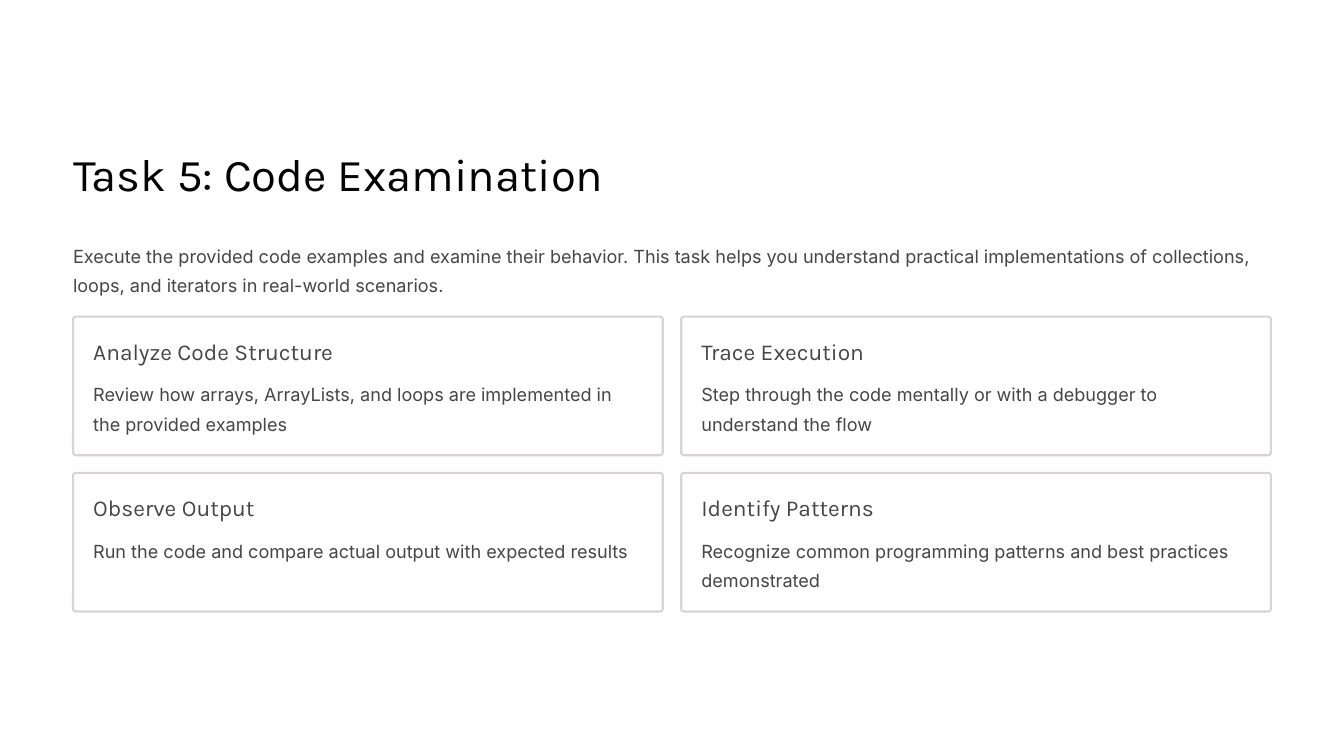
from pptx import Presentation
from pptx.dml.color import RGBColor
from pptx.enum.shapes import MSO_SHAPE
from pptx.util import Inches, Pt

ROUNDED = MSO_SHAPE.ROUNDED_RECTANGLE
WHITE = RGBColor(0xFF, 0xFF, 0xFF)
BLACK = RGBColor(0x03, 0x03, 0x03)
GREY = RGBColor(0x46, 0x46, 0x46)
BORDER = RGBColor(0xD8, 0xD4, 0xD4)

# font, size, line spacing, colour
TITLE = ("Karla", 39, 48.5, BLACK)
HEADING = ("Karla", 19.5, 24, GREY)
BODY = ("Inter", 15.5, 25, GREY)

MARGIN = 0.87
CONTENT_WIDTH = 14.26
CARDS_TOP = 3.77
CARD_WIDTH, CARD_HEIGHT = 7.02, 1.65
COLUMN_STEP = CONTENT_WIDTH - CARD_WIDTH
ROW_STEP = 1.86
PADDING = 0.24

CARDS = [
    ("Analyze Code Structure",
     "Review how arrays, ArrayLists, and loops are implemented in the provided examples"),
    ("Trace Execution",
     "Step through the code mentally or with a debugger to understand the flow"),
    ("Observe Output",
     "Run the code and compare actual output with expected results"),
    ("Identify Patterns",
     "Recognize common programming patterns and best practices demonstrated"),
]


def add_text(slide, left, top, width, height, text, style, wrap=True):
    font_name, size, spacing, color = style
    box = slide.shapes.add_textbox(Inches(left), Inches(top), Inches(width), Inches(height))
    frame = box.text_frame
    frame.word_wrap = wrap
    frame.margin_left = frame.margin_right = frame.margin_top = frame.margin_bottom = 0
    paragraph = frame.paragraphs[0]
    paragraph.line_spacing = Pt(spacing)
    run = paragraph.add_run()
    run.text = text
    run.font.name = font_name
    run.font.size = Pt(size)
    run.font.color.rgb = color


def add_header(slide, left, top, width):
    add_text(slide, left, top, 6.66, 0.68, "Task 5: Code Examination", TITLE, wrap=False)
    add_text(slide, left, top + 1.11, width, 0.69,
             "Execute the provided code examples and examine their behavior. "
             "This task helps you understand practical implementations of "
             "collections, loops, and iterators in real-world scenarios.", BODY)


def add_card(slide, left, top, width, height, heading, description):
    frame = slide.shapes.add_shape(ROUNDED, Inches(left), Inches(top),
                                   Inches(width), Inches(height))
    frame.adjustments[0] = 0.02
    frame.shadow.inherit = False
    frame.fill.solid()
    frame.fill.fore_color.rgb = WHITE
    frame.line.color.rgb = BORDER
    frame.line.width = Pt(1.8)
    text_width = width - 2 * PADDING
    add_text(slide, left + PADDING, top + PADDING, text_width, 0.34, heading, HEADING)
    add_text(slide, left + PADDING, top + 0.71, text_width, 0.69, description, BODY)


def add_card_grid(slide, left, top):
    for index, (heading, description) in enumerate(CARDS):
        row, column = divmod(index, 2)
        add_card(slide, left + column * COLUMN_STEP, top + row * ROW_STEP,
                 CARD_WIDTH, CARD_HEIGHT, heading, description)


def main():
    prs = Presentation()
    prs.slide_width, prs.slide_height = Inches(16), Inches(9)
    slide = prs.slides.add_slide(prs.slide_layouts[6])
    slide.background.fill.solid()
    slide.background.fill.fore_color.rgb = WHITE
    add_header(slide, MARGIN, 1.72, CONTENT_WIDTH)
    add_card_grid(slide, MARGIN, CARDS_TOP)
    prs.save("out.pptx")


if __name__ == "__main__":
    main()
